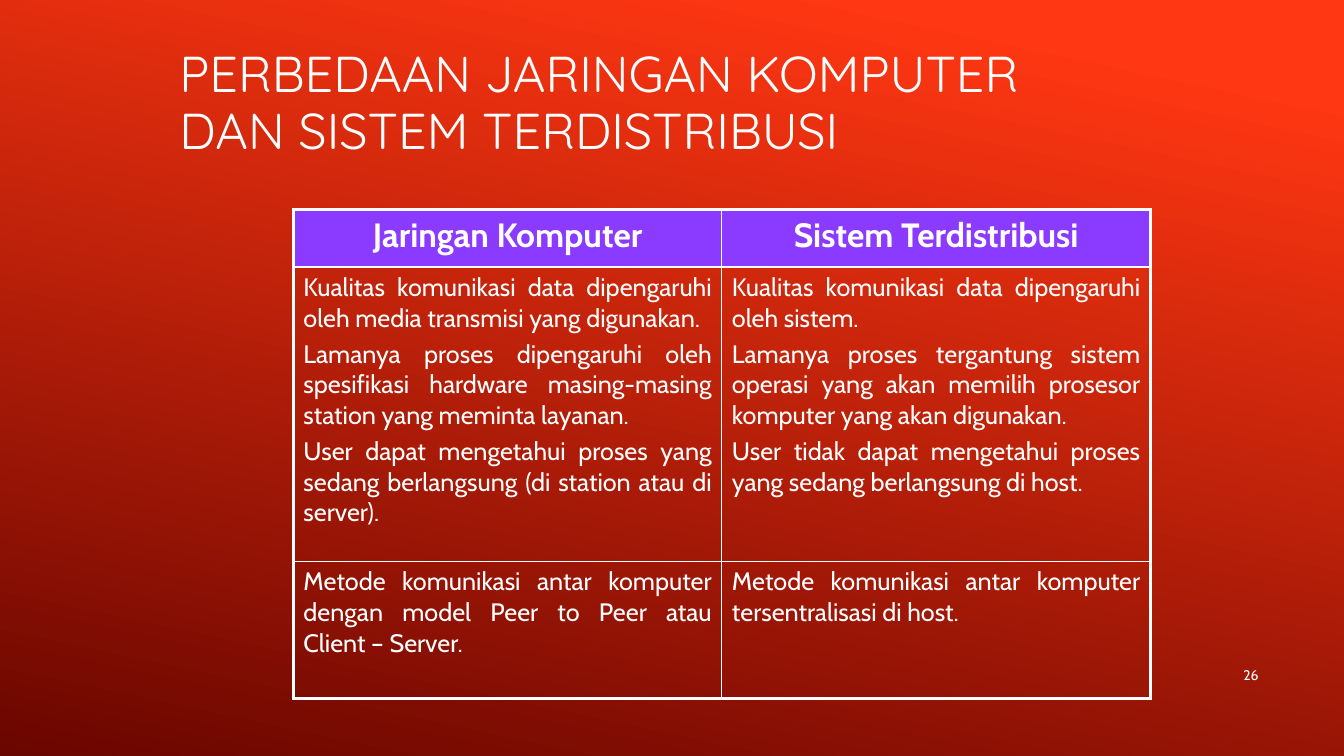
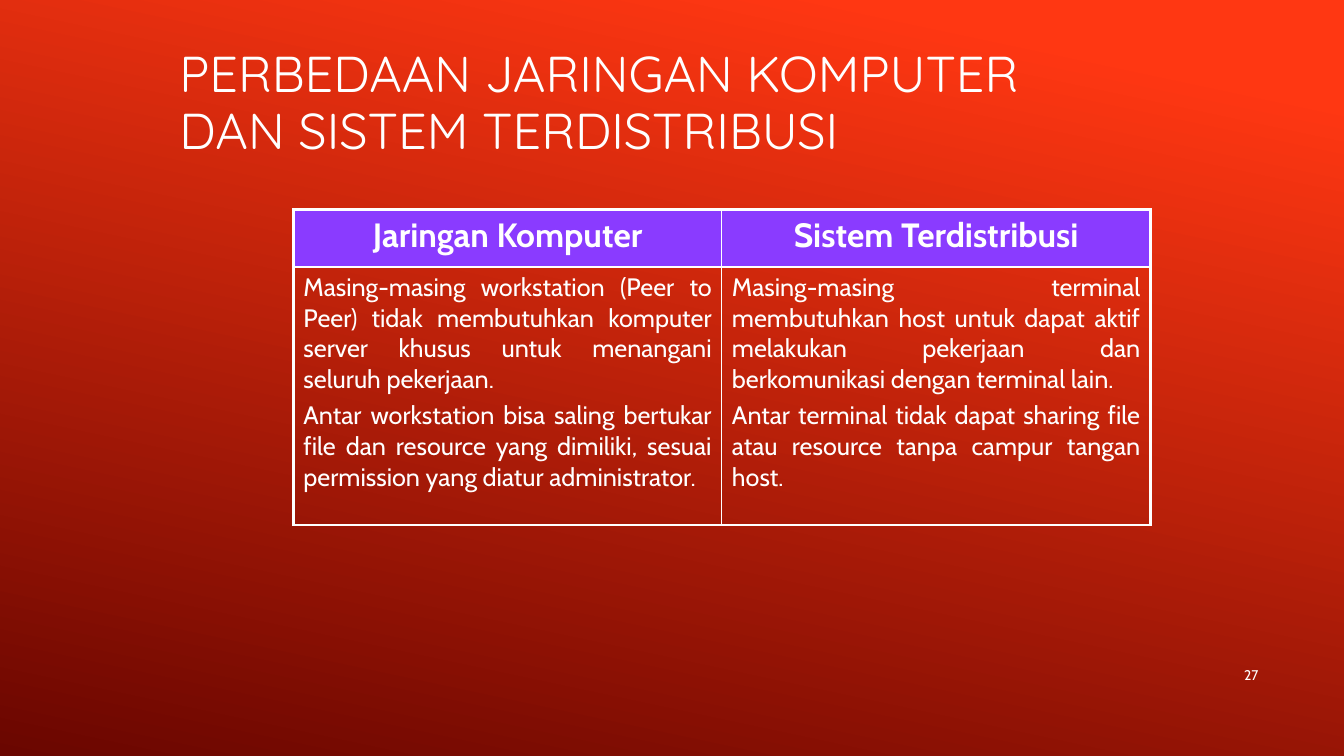
from lxml.etree import SubElement
from pptx import Presentation
from pptx.dml.color import RGBColor
from pptx.enum.text import MSO_ANCHOR, MSO_AUTO_SIZE, PP_ALIGN
from pptx.oxml.ns import qn
from pptx.util import Inches, Pt

WHITE = RGBColor(0xFF, 0xFF, 0xFF)
PURPLE = RGBColor(0x8A, 0x3B, 0xFF)
BRIGHT_RED = RGBColor(0xFF, 0x37, 0x12)
DARK_RED = RGBColor(0x6A, 0x06, 0x00)
TITLE_FONT = "Quicksand"
BODY_FONT = "Cabin"
OUTER_BORDER = Pt(2.25)
INNER_BORDER = Pt(1)

TITLE_LINES = ["PERBEDAAN JARINGAN KOMPUTER ", "DAN SISTEM TERDISTRIBUSI"]
HEADINGS = [["Jaringan Komputer"], ["Sistem Terdistribusi"]]
COMMUNICATION_ROWS = [
    [
        [
            "Kualitas komunikasi data dipengaruhi oleh media transmisi yang digunakan. ",
            "Lamanya proses dipengaruhi oleh spesifikasi hardware masing-masing "
            "station yang meminta layanan.",
            "User dapat mengetahui proses yang sedang berlangsung "
            "(di station atau di server).",
        ],
        [
            "Kualitas komunikasi data dipengaruhi oleh sistem. ",
            "Lamanya proses tergantung sistem operasi yang akan memilih prosesor "
            "komputer yang akan digunakan. ",
            "User tidak dapat mengetahui proses yang sedang berlangsung di host.",
        ],
    ],
    [
        [
            "Metode komunikasi antar komputer dengan model Peer to Peer atau "
            "Client – Server."
        ],
        ["Metode komunikasi antar komputer tersentralisasi di host."],
    ],
]
WORKSTATION_ROWS = [
    [
        [
            "Masing-masing workstation (Peer to Peer) tidak membutuhkan komputer "
            "server khusus untuk menangani seluruh pekerjaan.",
            "Antar workstation bisa saling bertukar file dan resource yang "
            "dimiliki, sesuai permission yang diatur administrator.",
        ],
        [
            "Masing-masing terminal membutuhkan host untuk dapat aktif melakukan "
            "pekerjaan dan berkomunikasi dengan terminal lain.",
            "Antar terminal tidak dapat sharing file atau resource tanpa campur "
            "tangan host.",
        ],
    ],
]


class Deck:
    """Holds the shared style and the current slide."""

    def __init__(self):
        """Set the slide size and the shared gradient background."""
        self.presentation = Presentation()
        self.presentation.slide_width = Inches(13.33)
        self.presentation.slide_height = Inches(7.5)
        self.slide = None
        fill = self.presentation.slide_master.background.fill
        fill.gradient()
        fill.gradient_angle = 258
        stops = [(0.1, BRIGHT_RED), (1, DARK_RED)]
        for stop, (position, color) in zip(fill.gradient_stops, stops):
            stop.position = position
            stop.color.rgb = color

    def add_slide(self):
        """Start a slide that has only a title."""
        layout = self.presentation.slide_layouts.get_by_name("Title Only")
        self.slide = self.presentation.slides.add_slide(layout)

    def add_run(self, paragraph, text, size, font=BODY_FONT, bold=False):
        """Add one white run to a paragraph."""
        run = paragraph.add_run()
        run.text = text
        run.font.name = font
        run.font.size = Pt(size)
        run.font.bold = bold
        run.font.color.rgb = WHITE

    def add_title(self, lines):
        """Fill the title placeholder, one line under another."""
        title = self.slide.shapes.title
        title.left, title.top = Inches(1.68), Inches(0.23)
        title.width, title.height = Inches(11.36), Inches(1.6)
        frame = title.text_frame
        frame.auto_size = MSO_AUTO_SIZE.NONE
        frame.vertical_anchor = MSO_ANCHOR.MIDDLE
        paragraph = frame.paragraphs[0]
        paragraph.alignment = PP_ALIGN.LEFT
        paragraph.line_spacing = 0.95
        for index, line in enumerate(lines):
            if index:
                paragraph.add_line_break()
            self.add_run(paragraph, line, 36, TITLE_FONT)

    def add_border(self, cell, side, width):
        """Draw one white edge of a cell."""
        properties = cell._tc.get_or_add_tcPr()
        line = SubElement(properties, qn(f"a:ln{side}"), w=str(int(width)))
        solid = SubElement(line, qn("a:solidFill"))
        SubElement(solid, qn("a:srgbClr"), val=str(WHITE))

    def add_cell(self, cell, texts, heading):
        """Write the paragraphs of a cell and set its fill."""
        size = 24 if heading else 18
        if heading:
            cell.fill.solid()
            cell.fill.fore_color.rgb = PURPLE
        else:
            cell.fill.background()
        frame = cell.text_frame
        for index, text in enumerate(texts):
            paragraph = frame.add_paragraph() if index else frame.paragraphs[0]
            paragraph.alignment = PP_ALIGN.CENTER if heading else PP_ALIGN.JUSTIFY
            paragraph.space_before = Pt(size * 0.2)
            self.add_run(paragraph, text, size, bold=heading)

    def add_comparison(self, rows, heights):
        """Add a two-column table with a thick frame and thin inner lines."""
        rows = [HEADINGS] + rows
        last_row, last_column = len(rows) - 1, len(HEADINGS) - 1
        table = self.slide.shapes.add_table(
            len(rows), len(HEADINGS), Inches(2.91), Inches(2.08),
            Inches(8.5), Inches(sum(heights)),
        ).table
        table.first_row = table.horz_banding = False
        for row_index, (texts_by_column, height) in enumerate(zip(rows, heights)):
            table.rows[row_index].height = Inches(height)
            for column_index, texts in enumerate(texts_by_column):
                cell = table.cell(row_index, column_index)
                outer_sides = {
                    "L": column_index == 0,
                    "R": column_index == last_column,
                    "T": row_index == 0,
                    "B": row_index == last_row,
                }
                for side, outer in outer_sides.items():
                    self.add_border(cell, side, OUTER_BORDER if outer else INNER_BORDER)
                self.add_cell(cell, texts, heading=row_index == 0)

    def add_page_number(self, number):
        """Write the page number at the lower right."""
        box = self.slide.shapes.add_textbox(
            Inches(11.33), Inches(6.1), Inches(1.25), Inches(0.73)
        )
        frame = box.text_frame
        frame.word_wrap = True
        frame.vertical_anchor = MSO_ANCHOR.BOTTOM
        paragraph = frame.paragraphs[0]
        paragraph.alignment = PP_ALIGN.RIGHT
        self.add_run(paragraph, str(number), 10)


deck = Deck()
pages = [
    (26, COMMUNICATION_ROWS, [0.57, 2.92, 1.36]),
    (27, WORKSTATION_ROWS, [0.57, 2.56]),
]
for number, rows, heights in pages:
    deck.add_slide()
    deck.add_title(TITLE_LINES)
    deck.add_comparison(rows, heights)
    deck.add_page_number(number)
deck.presentation.save("out.pptx")
